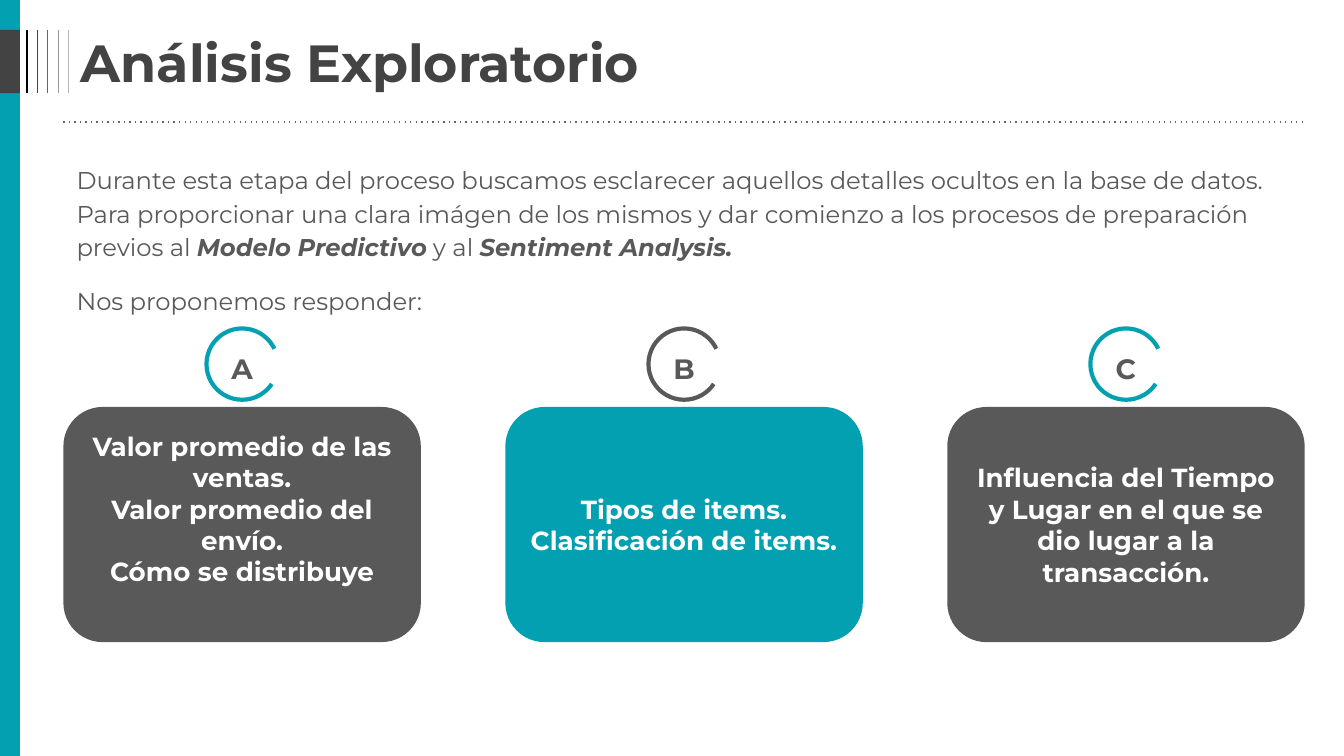
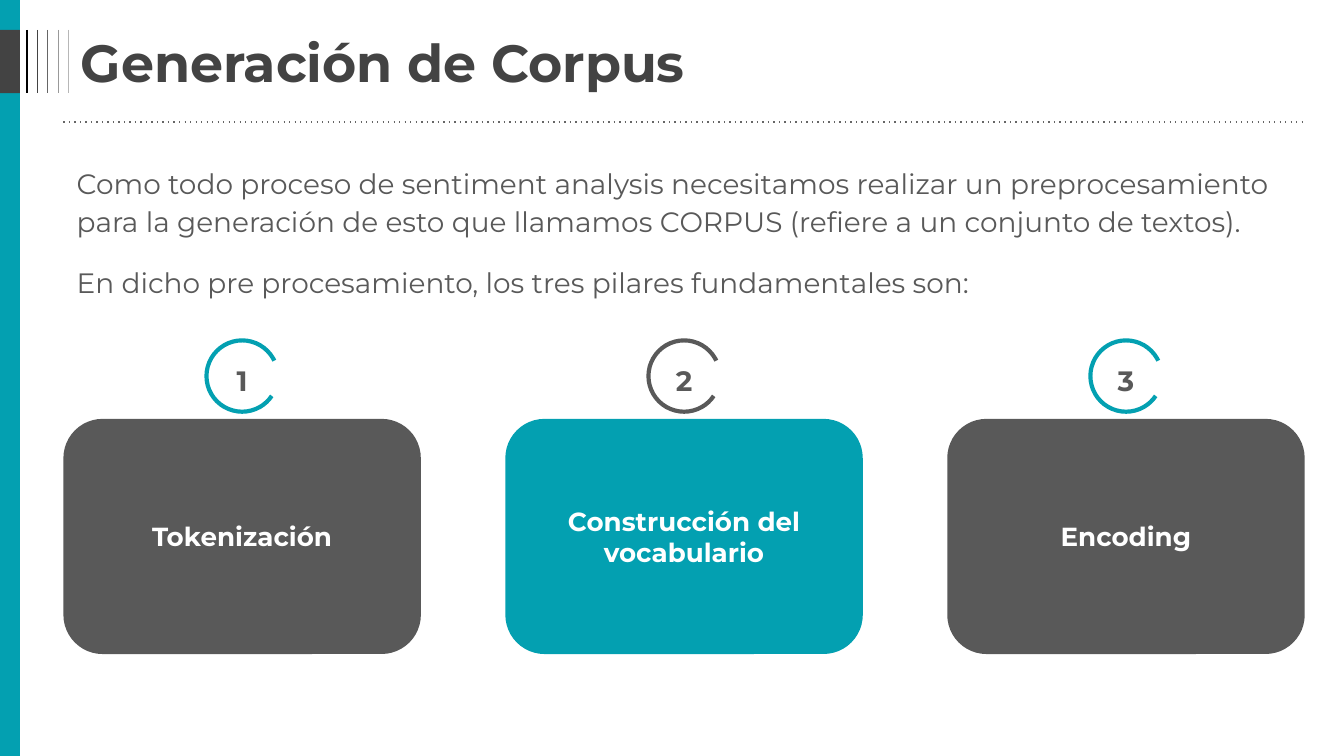
from lxml.etree import SubElement
from pptx import Presentation
from pptx.dml.color import RGBColor
from pptx.enum.shapes import MSO_CONNECTOR, MSO_SHAPE
from pptx.enum.text import MSO_ANCHOR, PP_ALIGN
from pptx.oxml.ns import qn
from pptx.util import Pt

TEAL, GRAY, DARK, WHITE = "03A0B1", "595959", "434343", "FFFFFF"
STRIPES = ["000000", DARK, "666666", "999999", "B7B7B7"]
FACE = "Montserrat"

# Body runs are (text, strong); cards are (mark, lines, extra bottom inset).
SLIDES = [
    {
        "title": "Análisis Exploratorio",
        "size": 13, "gap": 11, "top": 218,
        "body": [
            [("Durante esta etapa del proceso buscamos esclarecer aquellos "
              "detalles ocultos en la base de datos. Para proporcionar una "
              "clara imágen de los mismos y dar comienzo a los procesos de "
              "preparación previos al ", False),
             ("Modelo Predictivo", True),
             (" y al ", False),
             ("Sentiment Analysis.", True)],
            [("Nos proponemos responder:", False)],
        ],
        "cards": [
            ("A", ["Valor promedio de las ventas.",
                   "Valor promedio del envío.",
                   "Cómo se distribuye"], 17),
            ("B", ["Tipos de items.", "Clasificación de items."], 0),
            ("C", ["Influencia del Tiempo y Lugar en el que se dio lugar "
                   "a la transacción."], 0),
        ],
    },
    {
        "title": "Generación de Corpus",
        "size": 15, "gap": 12, "top": 224.4,
        "body": [
            [("Como todo proceso de sentiment analysis necesitamos realizar "
              "un preprocesamiento para la generación de esto que llamamos "
              "CORPUS (refiere a un conjunto de textos).", False)],
            [("En dicho pre procesamiento, los tres pilares fundamentales "
              "son:", False)],
        ],
        "cards": [
            ("1", ["Tokenización"], 0),
            ("2", ["Construcción del vocabulario"], 0),
            ("3", ["Encoding"], 0),
        ],
    },
]

WIDE, HIGH = 720, 405
LEFT, SPAN = 34, 665
BAR = 10.7
HEAD_TOP, HEAD_HIGH = 16, 34
CARD_W, CARD_H = 191.5, 126
PITCH = (SPAN - CARD_W) / 2
RING, RING_UP = 38.2, 42
MARK_W, MARK_H, MARK_UP = 91, 32.4, 39.6


def color(code):
    return RGBColor.from_string(code)


def apply(item, values):
    for name, value in values.items():
        setattr(item, name, value)


def write(shape, paras, font, tint, form=None, pads=(7.2, 7.2, 7.2, 7.2),
          anchor=MSO_ANCHOR.TOP, gap=0):
    """Fill a shape with paragraphs, each a list of (text, strong) runs."""
    frame = shape.text_frame
    sides = ("margin_left", "margin_top", "margin_right", "margin_bottom")
    apply(frame, {"word_wrap": True, "vertical_anchor": anchor})
    apply(frame, {side: Pt(pad) for side, pad in zip(sides, pads)})
    for i, runs in enumerate(paras):
        para = frame.add_paragraph() if i else frame.paragraphs[0]
        apply(para, form or {})
        if i and gap:
            para.space_before = Pt(gap)
        for text, strong in runs:
            run = para.add_run()
            run.text = text
            apply(run.font, {"name": FACE, **font})
            if strong:
                apply(run.font, {"bold": True, "italic": True})
            run.font.color.rgb = color(tint)


def text_box(slide, x, y, w, h):
    return slide.shapes.add_textbox(Pt(x), Pt(y), Pt(w), Pt(h))


def block(slide, kind, x, y, w, h, fill):
    shape = slide.shapes.add_shape(kind, Pt(x), Pt(y), Pt(w), Pt(h))
    shape.shadow.inherit = False
    shape.fill.solid()
    shape.fill.fore_color.rgb = color(fill)
    shape.line.fill.background()
    return shape


def rule(slide, x1, y1, x2, y2, tint, dash=None):
    line = slide.shapes.add_connector(
        MSO_CONNECTOR.STRAIGHT, Pt(x1), Pt(y1), Pt(x2), Pt(y2))
    line.line.color.rgb = color(tint)
    line.line.width = Pt(0.75)
    props = line._element.spPr
    if dash:
        SubElement(props.find(qn("a:ln")), qn("a:prstDash"), val=dash)
    SubElement(props, qn("a:effectLst"))


def frame_slide(slide, title):
    """Draw the side bar, stripes, title and dotted rule."""
    block(slide, MSO_SHAPE.RECTANGLE, 0, 0, BAR, HIGH, TEAL)
    block(slide, MSO_SHAPE.RECTANGLE, 0, HEAD_TOP, BAR, HEAD_HIGH, DARK)
    for i, tint in enumerate(STRIPES):
        x = 14.4 + 5.6 * i
        rule(slide, x, HEAD_TOP, x, HEAD_TOP + HEAD_HIGH, tint)
    rule(slide, LEFT, 65.3, LEFT + SPAN, 65.3, "666666", "dot")
    write(text_box(slide, LEFT, HEAD_TOP, SPAN, HEAD_HIGH),
          [[(title, False)]], {"size": Pt(28), "bold": True}, DARK,
          pads=(9.4, 3.6, 7.2, 3.6), anchor=MSO_ANCHOR.MIDDLE)


def add_card(slide, i, top, mark, lines, extra):
    """Draw a card with its lettered ring above; the middle one swaps tints."""
    fill, edge = (TEAL, GRAY) if i == 1 else (GRAY, TEAL)
    x = LEFT + i * PITCH
    mid = x + CARD_W / 2
    card = block(slide, MSO_SHAPE.ROUNDED_RECTANGLE,
                 x, top, CARD_W, CARD_H, fill)
    card.adjustments[0] = 0.167
    write(card, [[(line, False)] for line in lines],
          {"size": Pt(14), "bold": True}, WHITE,
          {"alignment": PP_ALIGN.CENTER},
          pads=(7.2, 7.2, 7.2, 7.2 + extra), anchor=MSO_ANCHOR.MIDDLE)
    write(text_box(slide, mid - MARK_W / 2, top - MARK_UP, MARK_W, MARK_H),
          [[(mark, False)]], {"size": Pt(15), "bold": True}, GRAY,
          {"alignment": PP_ALIGN.CENTER, "line_spacing": 1.15})
    ring = block(slide, MSO_SHAPE.ARC,
                 mid - RING / 2, top - RING_UP, RING, RING, WHITE)
    ring.fill.background()
    ring.line.color.rgb = color(edge)
    ring.line.width = Pt(2.25)
    ring.adjustments[0], ring.adjustments[1] = 20.28, 200.69


def main():
    deck = Presentation()
    apply(deck, {"slide_width": Pt(WIDE), "slide_height": Pt(HIGH)})
    for data in SLIDES:
        slide = deck.slides.add_slide(deck.slide_layouts[6])
        frame_slide(slide, data["title"])
        write(text_box(slide, LEFT, 79.2, SPAN, 281), data["body"],
              {"size": Pt(data["size"])}, GRAY, {"line_spacing": 1.15},
              gap=data["gap"])
        for i, card in enumerate(data["cards"]):
            add_card(slide, i, data["top"], *card)
    deck.save("out.pptx")


if __name__ == "__main__":
    main()
